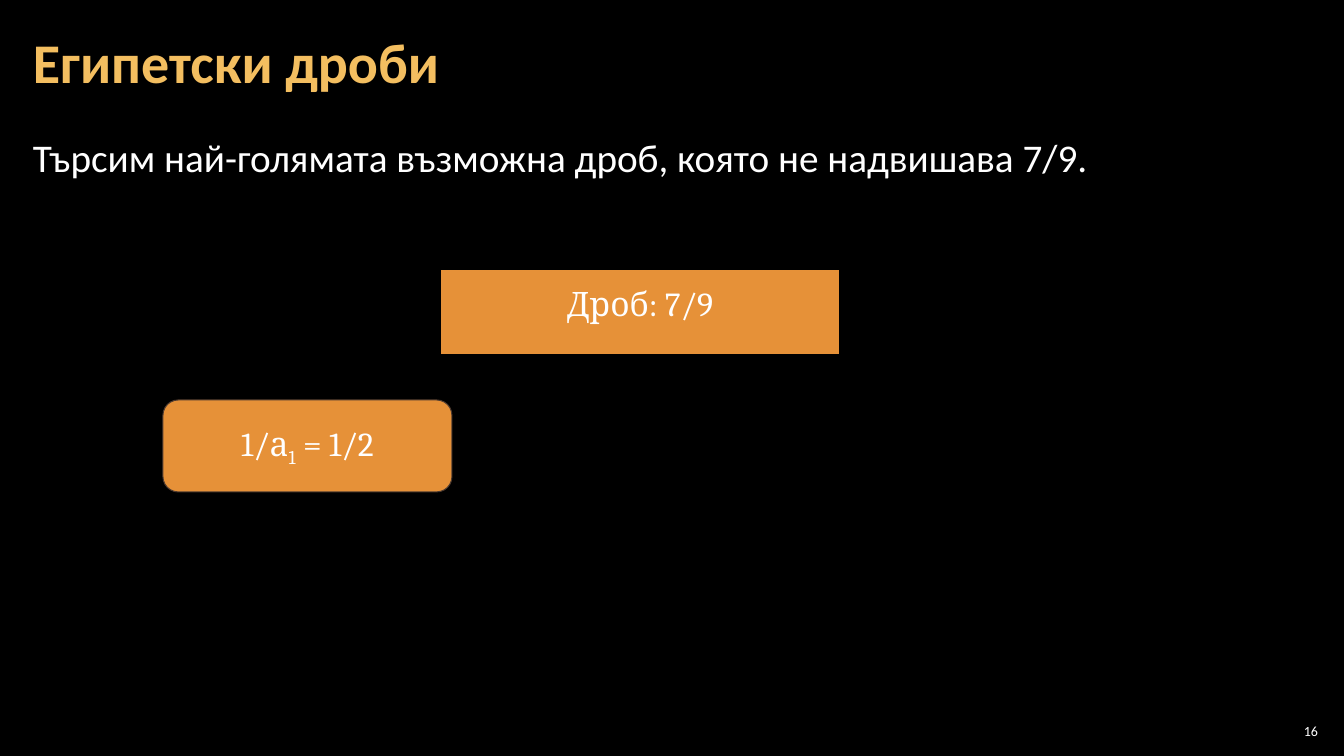
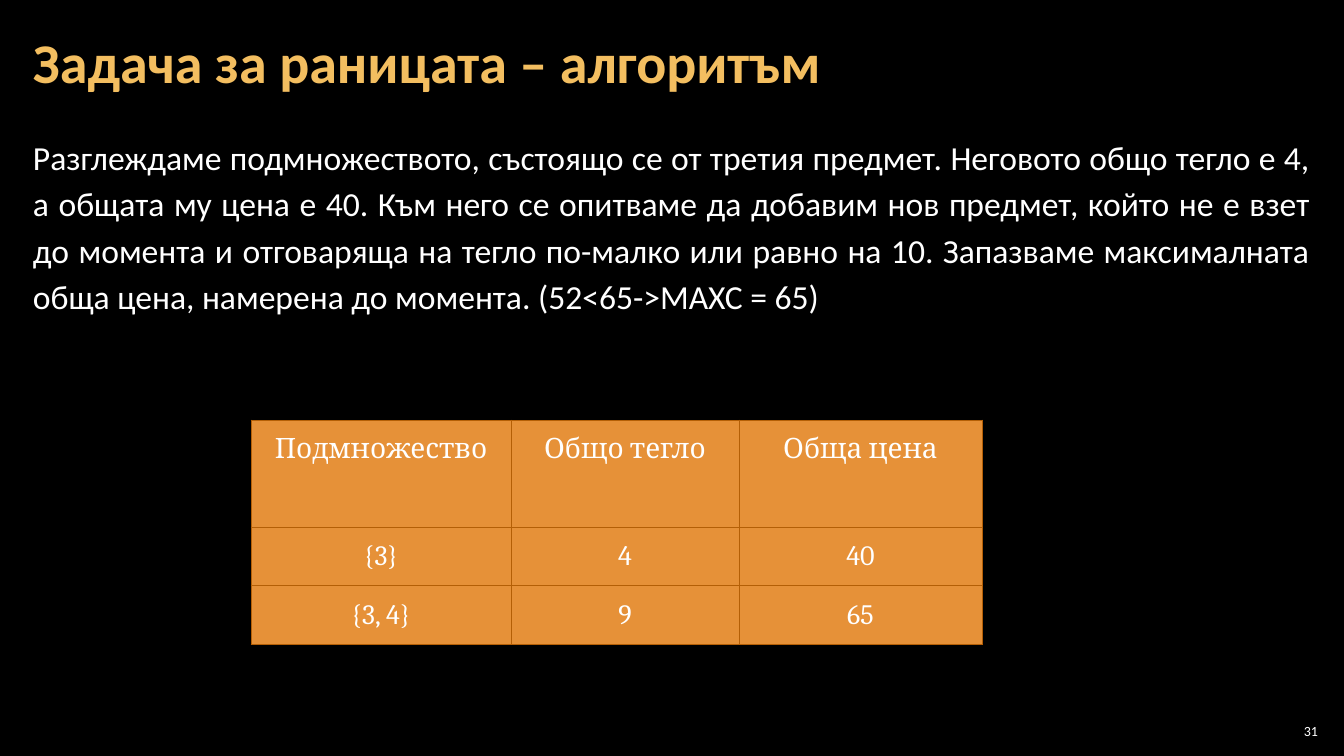
from dataclasses import dataclass

from pptx import Presentation
from pptx.dml.color import RGBColor as Rgb
from pptx.enum.shapes import MSO_SHAPE as Shape
from pptx.enum.text import MSO_ANCHOR as Anchor, MSO_AUTO_SIZE as AutoSize, PP_ALIGN as Align
from pptx.oxml.ns import qn
from pptx.util import Emu, Pt
from lxml.etree import SubElement

SIDES = ("left", "top", "right", "bottom")


def px(length):
    return Emu(round(length * 914400 / 100.8))


@dataclass(frozen=True)
class Theme:
    background: str = "000000"
    title: str = "F3BE60"
    text: str = "FFFFFF"
    accent: str = "E69138"
    outline: str = "4E3B30"
    grid: str = "B45F06"
    sans: str = "Calibri"
    serif: str = "Cambria"
    title_size: int = 40
    box_size: int = 24
    table_size: int = 20
    number_size: int = 10
    line_width: float = 0.75


class DarkDeck:
    """Builds black slides with gold titles and orange boxes and tables."""

    def __init__(self, theme):
        self.theme = theme
        self.deck = Presentation()
        self.deck.slide_width, self.deck.slide_height = px(1344), px(756)
        self.page = None
        self.paint(self.deck.slide_master.background.fill, theme.background)

    def paint(self, fill, color):
        fill.solid()
        fill.fore_color.rgb = Rgb.from_string(color)

    def add_text(self, frame, spans, size, face, color=None, bold=False, **layout):
        para = frame.paragraphs[0]
        for name, value in layout.items():
            setattr(para, name, value)
        style = {"size": Pt(size), "name": face, "bold": bold}
        for text, baseline in spans:
            span = para.add_run()
            span.text = text
            for name, value in style.items():
                setattr(span.font, name, value)
            span.font.color.rgb = Rgb.from_string(color or self.theme.text)
            if baseline:
                span.font._element.set("baseline", str(baseline * 1000))

    def frame(self, shape, insets, anchor=Anchor.TOP):
        frame = shape.text_frame
        values = {"word_wrap": True, "auto_size": AutoSize.NONE, "vertical_anchor": anchor}
        values.update({f"margin_{side}": px(inset) for side, inset in zip(SIDES, insets)})
        for name, value in values.items():
            setattr(frame, name, value)
        return frame

    def text_box(self, area, insets, anchor=Anchor.TOP):
        box = self.page.shapes.add_textbox(*map(px, area))
        return self.frame(box, insets, anchor)

    def slide(self, title, number):
        theme = self.theme
        self.page = self.deck.slides.add_slide(self.deck.slide_layouts[5])
        heading = self.page.shapes.title
        for name, value in zip(("left", "top", "width", "height"), (21, 4, 1301, 122)):
            setattr(heading, name, px(value))
        self.add_text(self.frame(heading, (12, 4, 12, 4), Anchor.MIDDLE), [(title, 0)],
                      theme.title_size, theme.sans, theme.title, True,
                      alignment=Align.LEFT, line_spacing=0.9)
        self.add_text(self.text_box((1275, 720, 47, 21), (4, 4, 4, 4), Anchor.MIDDLE),
                      [(str(number), 0)], theme.number_size, theme.sans, alignment=Align.RIGHT)

    def body(self, text, size, spacing, alignment=Align.LEFT):
        self.add_text(self.text_box((21, 127, 1301, 614), (12, 4, 12, 4)), [(text, 0)],
                      size, self.theme.sans, alignment=alignment,
                      line_spacing=spacing, space_after=Pt(6))

    def box(self, kind, area, spans, anchor=Anchor.TOP, outline=None):
        box = self.page.shapes.add_shape(kind, *map(px, area))
        box.shadow.inherit = False
        self.paint(box.fill, self.theme.accent)
        if outline:
            self.paint(box.line.fill, outline)
            box.line.width = Pt(self.theme.line_width)
        else:
            box.line.fill.background()
        self.add_text(self.frame(box, (13,) * 4, anchor), spans,
                      self.theme.box_size, self.theme.serif, alignment=Align.CENTER)

    def border(self, cell):
        properties = cell._tc.get_or_add_tcPr()
        for side in "LRTB":
            line = SubElement(properties, qn(f"a:ln{side}"), w=str(Pt(self.theme.line_width)))
            fill = SubElement(line, qn("a:solidFill"))
            SubElement(fill, qn("a:srgbClr"), val=self.theme.grid)

    def table(self, left, top, widths, heights, rows):
        area = (left, top, sum(widths), sum(heights))
        table = self.page.shapes.add_table(len(rows), len(widths), *map(px, area)).table
        for column, width in zip(table.columns, widths):
            column.width = px(width)
        for row, height, texts in zip(table.rows, heights, rows):
            row.height = px(height)
            for cell, text in zip(row.cells, texts):
                for side in SIDES:
                    setattr(cell, f"margin_{side}", px(13))
                self.border(cell)
                self.paint(cell.fill, self.theme.accent)
                self.add_text(cell.text_frame, [(text, 0)], self.theme.table_size,
                              self.theme.serif, alignment=Align.CENTER)


def main():
    show = DarkDeck(Theme())

    show.slide("Египетски дроби", 16)
    show.body("Търсим най-голямата възможна дроб, която не надвишава 7/9.", 28, 1.05)
    show.box(Shape.RECTANGLE, (441, 270, 398, 84), [("Дроб: 7/9", 0)])
    show.box(Shape.ROUNDED_RECTANGLE, (163, 400, 289, 92),
             [("1/а", 0), ("1", -25), (" = 1/2", 0)], Anchor.MIDDLE, show.theme.outline)

    show.slide("Задача за раницата – алгоритъм", 31)
    show.body(
        "Разглеждаме подмножеството, състоящо се от третия предмет. "
        "Неговото общо тегло е 4, а общата му цена е 40. "
        "Към него се опитваме да добавим нов предмет, който не е взет до момента "
        "и отговаряща на тегло по-малко или равно на 10. "
        "Запазваме максималната обща цена, намерена до момента. (52<65->MAXC = 65)",
        24, 1.15, Align.JUSTIFY)
    show.table(251, 420, (260, 228, 243), (107, 59, 59), [
        ("Подмножество", "Общо тегло", "Обща цена"),
        ("{3}", "4", "40"),
        ("{3, 4}", "9", "65"),
    ])

    show.deck.save("out.pptx")


if __name__ == "__main__":
    main()
